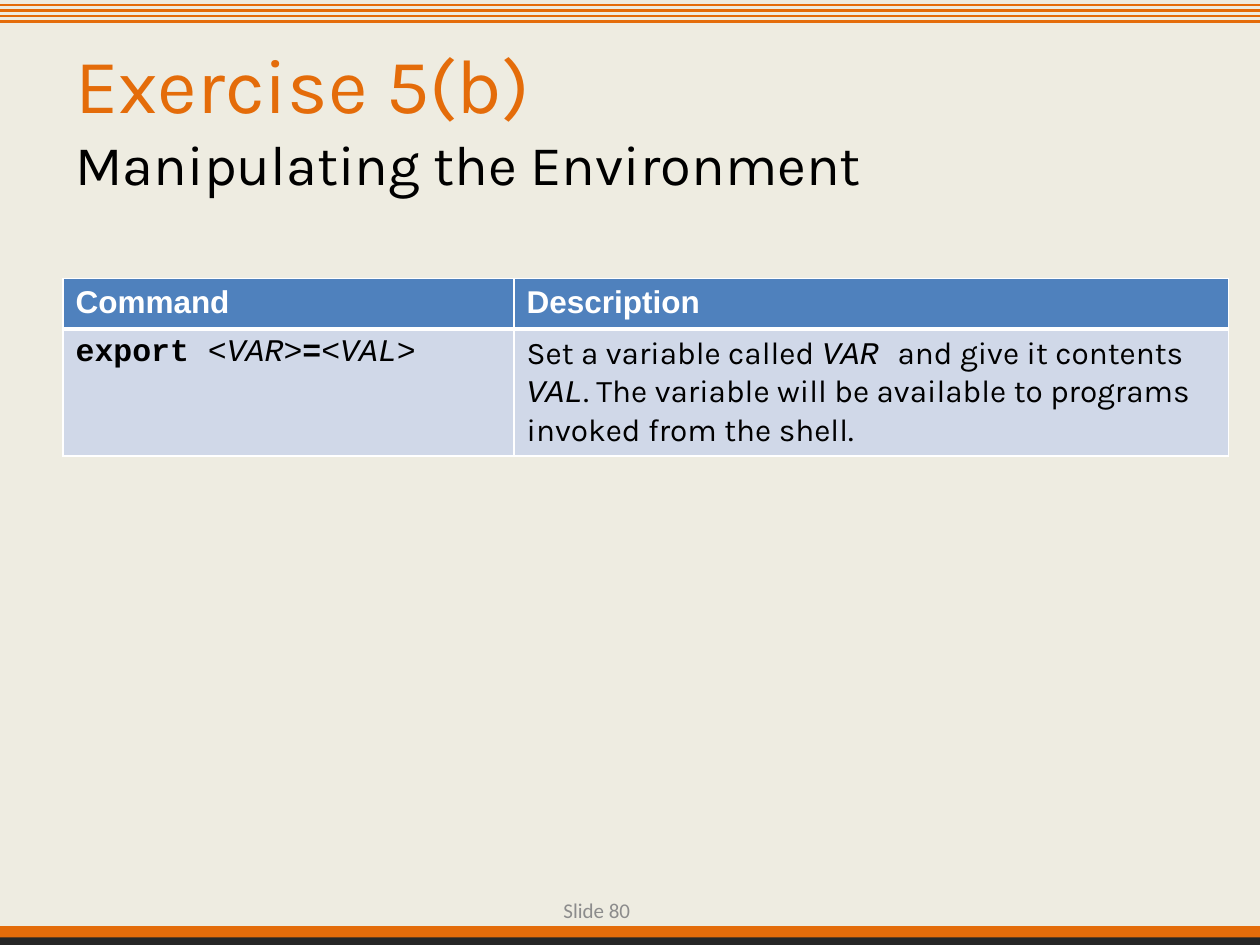
from pptx import Presentation
from pptx.dml.color import RGBColor as Color
from pptx.enum.shapes import MSO_CONNECTOR as Connector, MSO_SHAPE as Shape
from pptx.enum.text import MSO_ANCHOR as Anchor, PP_ALIGN as Align
from pptx.oxml.ns import qn
from pptx.util import Inches, Pt
from lxml.etree import SubElement

COLORS = {"paper": "EEECE1", "orange": "E46C0A", "dark": "262626", "black": "000000", "white": "FFFFFF",
          "header": "4F81BD", "body": "D0D8E8", "gray": "8C8C8C"}
CODE = dict(font="Courier New", italic=True)


def color(name):
    """Return the named palette colour."""
    return Color.from_string(COLORS[name])


def write(para, text, font="Karla", size=18, ink="black", bold=False, italic=False):
    """Append one formatted span to a paragraph."""
    span = para.add_run()
    span.text = text
    span.font.name, span.font.size = font, Pt(size)
    span.font.bold, span.font.italic = bold, italic
    span.font.color.rgb = color(ink)


def edge(cell, side, width):
    """Draw a white border on one side of a table cell."""
    line = SubElement(cell._tc.get_or_add_tcPr(), qn(f"a:ln{side}"), w=str(Pt(width)))
    fill = SubElement(line, qn("a:solidFill"))
    SubElement(fill, qn("a:srgbClr"), val=COLORS["white"])


class Slide:
    """Hold the page and place elements on a grid of 100 columns by 75 rows."""

    def __init__(self, deck):
        """Add a blank page with the paper background."""
        self.column, self.row = deck.slide_width / 100, deck.slide_height / 75
        self.page = deck.slides.add_slide(deck.slide_layouts[6])
        self.page.background.fill.solid()
        self.page.background.fill.fore_color.rgb = color("paper")

    def place(self, left, top, width, height):
        """Convert grid units into slide lengths."""
        return (round(left * self.column), round(top * self.row),
                round(width * self.column), round(height * self.row))

    def band(self, top, height, ink):
        """Draw a full-width filled band."""
        shape = self.page.shapes.add_shape(Shape.RECTANGLE, *self.place(0, top, 100, height))
        shape.shadow.inherit = False
        shape.fill.solid()
        shape.fill.fore_color.rgb = color(ink)
        shape.line.fill.background()

    def rule(self, top):
        """Draw a full-width horizontal line."""
        rule = self.page.shapes.add_connector(Connector.STRAIGHT, *self.place(0, top, 100, top))
        rule.line.color.rgb = color("orange")
        rule.line.width = Pt(1.5)
        SubElement(rule._element.spPr, qn("a:effectLst"))

    def text(self, area, lines, anchor=Anchor.MIDDLE, align=Align.LEFT, bottom=0.05):
        """Add a text box whose lines share one paragraph."""
        frame = self.page.shapes.add_textbox(*self.place(*area)).text_frame
        frame.word_wrap = True
        frame.vertical_anchor = anchor
        frame.margin_bottom = Inches(bottom)
        para = frame.paragraphs[0]
        para.alignment = align
        for index, (words, style) in enumerate(lines):
            if index:
                para.add_line_break()
            write(para, words, **style)

    def table(self, area, widths, heights, rows):
        """Add a table with a header row and white borders."""
        grid = self.page.shapes.add_table(len(rows), len(widths), *self.place(*area)).table
        for column, width in zip(grid.columns, widths):
            column.width = round(width * self.column)
        for index, (row, height, contents) in enumerate(zip(grid.rows, heights, rows)):
            row.height = round(height * self.row)
            for cell, spans in zip(row.cells, contents):
                for words, style in spans:
                    write(cell.text_frame.paragraphs[0], words, **style)
                for side in "LRTB":
                    edge(cell, side, 3 if (index, side) in ((0, "B"), (1, "T")) else 1)
                cell.fill.solid()
                cell.fill.fore_color.rgb = color("body" if index else "header")


def main():
    """Build the exercise slide and save it."""
    deck = Presentation()
    deck.slide_width, deck.slide_height = Inches(10), Inches(7.5)
    slide = Slide(deck)

    slide.band(73.5, 1.5, "orange")
    for index in range(4):
        slide.rule(0.4 + index * 0.43)
    slide.band(74.4, 0.6, "dark")

    slide.text((5, 3, 90, 12.5), [("Exercise 5(b)", dict(size=44, ink="orange")),
                                  ("Manipulating the Environment", dict(size=32))])

    heading = dict(font="Arial", ink="white", bold=True)
    command = dict(font="Courier New", bold=True)
    slide.table((5, 22.1, 92.5, 14.1), (35.8, 56.7), (4, 10.1), [
        [[("Command", heading)], [("Description", heading)]],
        [[("export ", command), ("<VAR>", CODE), ("=", command), ("<VAL>", CODE)],
         [("Set a variable called ", {}), ("VAR ", CODE), ("and give it contents ", {}), ("VAL", CODE),
          (". The variable will be available to programs invoked from the shell.", {})]]])

    slide.text((41.1, 69.2, 9.9, 4), [("Slide 80", dict(font="Calibri", size=12, ink="gray"))],
               anchor=Anchor.BOTTOM, align=Align.RIGHT, bottom=0)
    deck.save("out.pptx")


if __name__ == "__main__":
    main()
